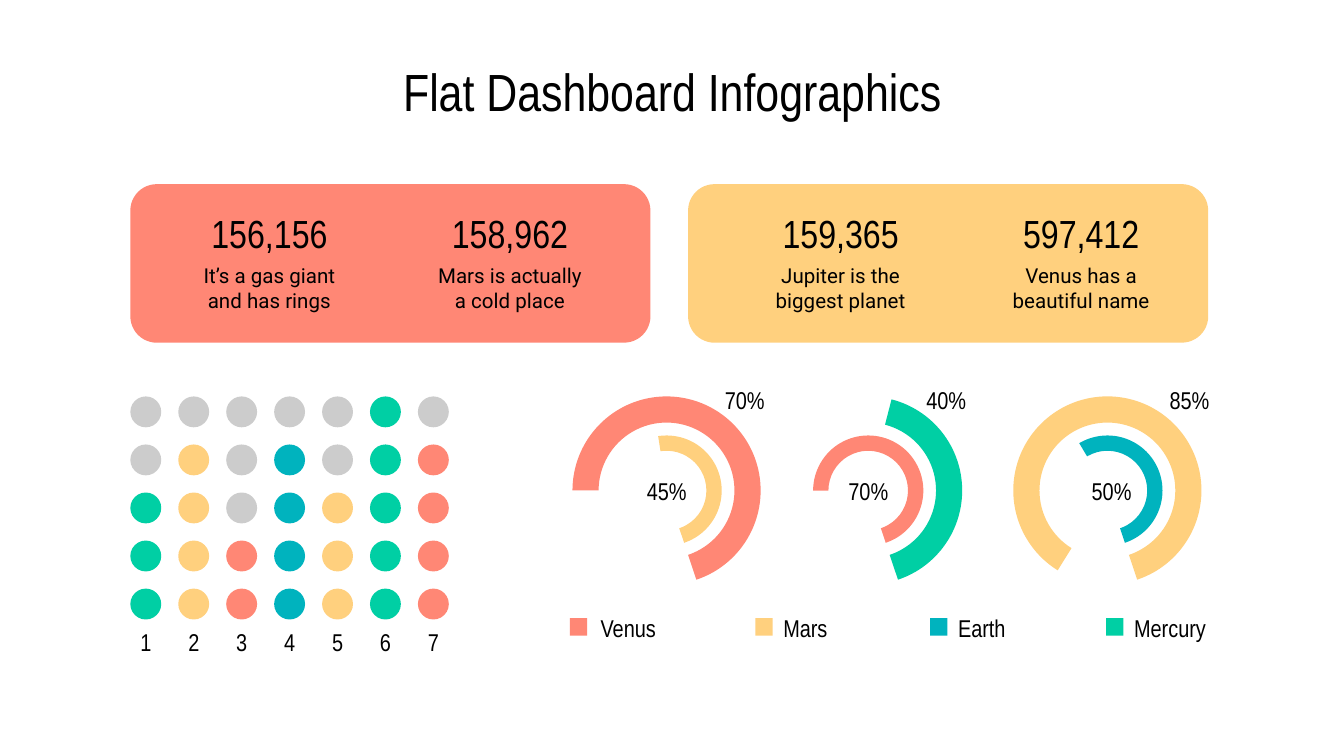
from pptx import Presentation
from pptx import util as u
from pptx.dml.color import RGBColor
from pptx.enum import shapes, text

PX = 9144  # EMU per px, 100 px to the inch
HEAD, BODY = "Arial Narrow", "Roboto"
BLACK, GREY = "000000", "CCCCCC"
CORAL, GOLD, TEAL, GREEN = "FF8775", "FFD07E", "00B3BE", "00CFA4"
KIND = shapes.MSO_SHAPE
MID = text.PP_ALIGN.CENTER


def rgb(hue):
    return RGBColor.from_string(hue)


def emu(*nums):
    return [u.Emu(round(n * PX)) for n in nums]


def style(frame, words, size, font=HEAD, align=MID,
          anchor=text.MSO_ANCHOR.MIDDLE):
    """Fill a text frame with one formatted paragraph."""
    frame.text = words
    frame.word_wrap = True
    frame.auto_size = text.MSO_AUTO_SIZE.NONE
    frame.vertical_anchor = anchor
    frame.margin_left = frame.margin_right = u.Inches(0.1)
    frame.margin_top = frame.margin_bottom = u.Inches(0.1)
    para = frame.paragraphs[0]
    para.alignment = align
    for run in para.runs:
        run.font.size = u.Pt(size)
        run.font.name = font
        run.font.color.rgb = rgb(BLACK)


def label(slide, x, y, w, h, words, size=13, **look):
    box = slide.shapes.add_textbox(*emu(x, y, w, h))
    style(box.text_frame, words, size, **look)


def solid(slide, kind, x, y, w, h, hue, adj=()):
    item = slide.shapes.add_shape(kind, *emu(x, y, w, h))
    item.shadow.inherit = False
    item.fill.solid()
    item.fill.fore_color.rgb = rgb(hue)
    item.line.fill.background()
    for i, val in enumerate(adj):
        item.adjustments[i] = val


def title(slide, x, y, w, h, words):
    head = slide.shapes.title
    head.left, head.top, head.width, head.height = emu(x, y, w, h)
    style(head.text_frame, words, 28, anchor=text.MSO_ANCHOR.TOP)


def card(slide, x, y, w, h, hue, pad, facts):
    """Rounded panel with figures and captions side by side."""
    solid(slide, KIND.ROUNDED_RECTANGLE, x, y, w, h, hue, [0.167])
    for i, (num, note) in enumerate(facts):
        left = x + pad + i * 179
        label(slide, left, y + 53, 133, 48, note, 11, font=BODY)
        label(slide, left, y + 23, 133, 27, num, 21)


def dots(slide, x, y, w, h, cols, rows=5, size=23):
    """Dot columns filled from the bottom, numbered below."""
    dx = (w - size) / (len(cols) - 1)
    dy = (h - size) / (rows - 1)
    for i, (hue, count) in enumerate(cols):
        left = x + i * dx
        for j in range(rows):
            solid(slide, KIND.OVAL, left, y + h - size - j * dy, size, size,
                  hue if j < count else GREY)
        label(slide, left + size / 2 - 24.5, y + h + 3, 49, 27, str(i + 1))


def gauge(slide, x, y, size, rings, shift=0):
    """Two nested arcs, each as (colour, start degrees, label)."""
    spots = [(99, -11), (41, 57)]
    for i, ((hue, start, words), (dx, dy)) in enumerate(zip(rings, spots)):
        inset = i * 29
        side = size - 2 * inset
        # An adjustment unit is 100000/60000 of a degree
        solid(slide, KIND.BLOCK_ARC, x + inset, y + inset, side, side, hue,
              [start * 0.6, 71.49 * 0.6, 0.139])
        label(slide, x + dx + shift, y + dy, 58, 27, words)


def legend(slide, x, y, keys):
    for name, hue, dx, gap, w in keys:
        label(slide, x + dx + gap, y, w, 32, name,
              align=text.PP_ALIGN.LEFT)
        solid(slide, KIND.RECTANGLE, x + dx, y + 9, 13, 13, hue)


def main():
    deck = Presentation()
    deck.slide_width, deck.slide_height = u.Inches(10), u.Inches(5.625)
    slide = deck.slides.add_slide(deck.slide_layouts[5])
    title(slide, 45, 34, 910, 63, "Flat Dashboard Infographics")
    card(slide, 97, 137, 387, 118, CORAL, 37,
         [("156,156", "It’s a gas giant and has rings"),
          ("158,962", "Mars is actually a cold place")])
    card(slide, 512, 137, 387, 118, GOLD, 47,
         [("159,365", "Jupiter is the biggest planet"),
          ("597,412", "Venus has a beautiful name")])
    dots(slide, 97, 295, 237, 166,
         [(GREEN, 3), (GOLD, 4), (CORAL, 2), (TEAL, 4),
          (GOLD, 3), (GREEN, 5), (CORAL, 4)])
    gauge(slide, 426, 295, 140,
          [(CORAL, 180, "70%"), (GOLD, 261.17, "45%")])
    gauge(slide, 576, 295, 140,
          [(GREEN, 284.42, "40%"), (CORAL, 180, "70%")])
    gauge(slide, 754, 295, 140,
          [(GOLD, 121.88, "85%"), (TEAL, 239.25, "50%")], shift=3)
    legend(slide, 424, 451,
           [("Venus", CORAL, 0, 13, 75), ("Mars", GOLD, 138, 11, 75),
            ("Earth", TEAL, 268, 11, 75), ("Mercury", GREEN, 399, 11, 82)])
    deck.save("out.pptx")


if __name__ == "__main__":
    main()
